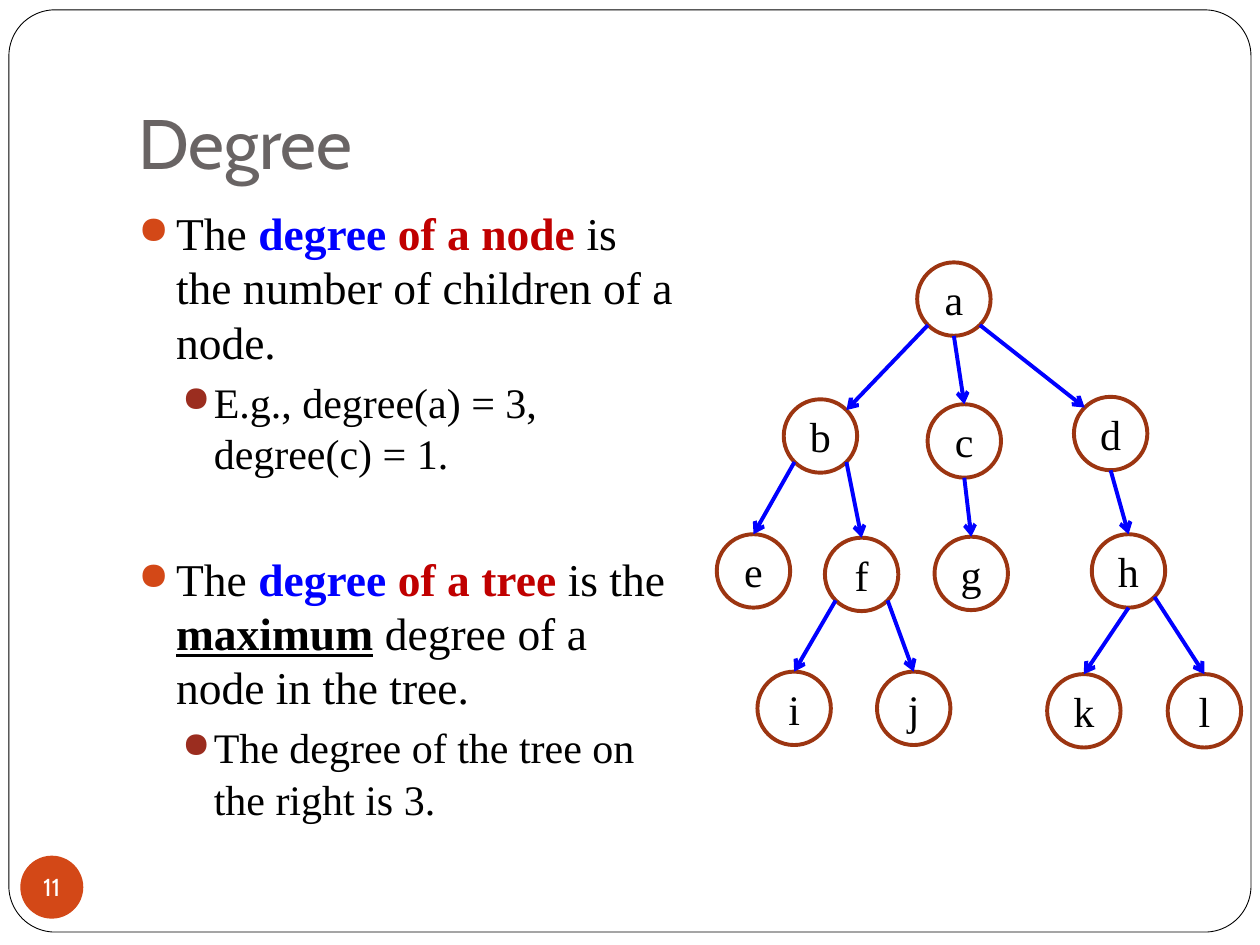
from dataclasses import dataclass
from math import cos, pi, sin

from lxml.etree import SubElement
from pptx import Presentation
from pptx.dml.color import RGBColor
from pptx.enum.shapes import MSO_CONNECTOR as Connector, MSO_SHAPE as Shape
from pptx.enum.text import MSO_ANCHOR as Anchor, PP_ALIGN as Align
from pptx.oxml.ns import qn
from pptx.util import Cm, Pt

BODY_FONT, HEADING_FONT = "Times New Roman", "Cabin"
BLACK, WHITE, BLUE, RED = "000000", "FFFFFF", "0000FF", "C00000"
ORANGE, BROWN, RUST, GREY = "D34817", "9B2D1F", "9C3511", "696464"
NODE_SIZE = 1.48
LINE_BREAK = "\v"

# Connection sites of an ellipse, counted anticlockwise from the top
TOP, TOP_LEFT, BOTTOM_LEFT, BOTTOM, BOTTOM_RIGHT, TOP_RIGHT = 0, 1, 3, 4, 5, 7


@dataclass
class Span:
    text: str
    color: str = BLACK
    bold: bool = False
    underline: bool = False


@dataclass
class Level:
    size: float
    line_height: float
    space_before: float
    margin: float
    hanging: float
    bullet: str


@dataclass
class Point:
    level: Level
    spans: list[Span]
    extra_space: float = 0


@dataclass
class Node:
    label: str
    left: float
    top: float

    def site(self, index: int) -> tuple[Cm, Cm]:
        radius, angle = NODE_SIZE / 2, index * pi / 4
        return (Cm(self.left + radius - radius * sin(angle)),
                Cm(self.top + radius - radius * cos(angle)))


@dataclass
class Edge:
    parent: str
    child: str
    start: int
    end: int = TOP


MAIN = Level(26, 31.1, 5.8, 0.76, 0.76, ORANGE)
SUB = Level(24, 29.5, 3.7, 1.52, 0.64, BROWN)

POINTS = [
    Point(MAIN, [Span("The "), Span("degree ", BLUE, True), Span("of a node", RED, True),
                 Span(" is the number of children of a node.")]),
    Point(SUB, [Span("E.g., degree(a) = 3, "), Span(LINE_BREAK), Span("degree(c) = 1.")]),
    Point(MAIN, [Span("The "), Span("degree ", BLUE, True), Span("of a tree", RED, True),
                 Span(" is the "), Span("maximum", bold=True, underline=True),
                 Span(" degree of a node in the tree.")], extra_space=35.7),
    Point(SUB, [Span("The degree of the tree on the right is 3.")]),
]

NODES = [
    Node("a", 18.49, 5.29),
    Node("b", 15.8, 8.05), Node("c", 18.7, 8.15), Node("d", 21.65, 8),
    Node("e", 14.45, 10.77), Node("f", 16.63, 10.84),
    Node("g", 18.84, 10.82), Node("h", 22.01, 10.77),
    Node("i", 15.27, 13.54), Node("j", 17.68, 13.54),
    Node("k", 21.11, 13.59), Node("l", 23.54, 13.59),
]

EDGES = [
    Edge("a", "b", BOTTOM_LEFT, TOP_RIGHT), Edge("a", "c", BOTTOM),
    Edge("a", "d", BOTTOM_RIGHT, TOP_LEFT),
    Edge("b", "e", BOTTOM_LEFT), Edge("b", "f", BOTTOM_RIGHT),
    Edge("c", "g", BOTTOM), Edge("d", "h", BOTTOM),
    Edge("f", "i", BOTTOM_LEFT), Edge("f", "j", BOTTOM_RIGHT),
    Edge("h", "k", BOTTOM), Edge("h", "l", BOTTOM_RIGHT),
]


def rgb(value: str) -> RGBColor:
    return RGBColor.from_string(value)


def style(font, name: str, size: float, color: str) -> None:
    font.name, font.size = name, Pt(size)
    font.color.rgb = rgb(color)


def draw_shape(slide, kind, left, top, width, height, fill=None, line=None, weight=1):
    shape = slide.shapes.add_shape(kind, Cm(left), Cm(top), Cm(width), Cm(height))
    shape.shadow.inherit = False
    if fill:
        shape.fill.solid()
        shape.fill.fore_color.rgb = rgb(fill)
    else:
        shape.fill.background()
    if line:
        shape.line.color.rgb = rgb(line)
        shape.line.width = Pt(weight)
    else:
        shape.line.fill.background()
    return shape


def draw_label(shape, text: str, font: str, size: float, color: str) -> None:
    frame = shape.text_frame
    frame.text = text
    frame.vertical_anchor = Anchor.MIDDLE
    paragraph = frame.paragraphs[0]
    paragraph.alignment = Align.CENTER
    style(paragraph.runs[0].font, font, size, color)


def draw_point(paragraph, point: Point) -> None:
    level = point.level
    paragraph.line_spacing = Pt(level.line_height)
    paragraph.space_before = Pt(level.space_before + point.extra_space)
    props = paragraph._p.get_or_add_pPr()
    props.set("marL", str(Cm(level.margin)))
    props.set("indent", str(-Cm(level.hanging)))
    SubElement(SubElement(props, qn("a:buClr")), qn("a:srgbClr"), val=level.bullet)
    SubElement(props, qn("a:buSzPct"), val="85000")
    SubElement(props, qn("a:buChar"), char="●")
    for span in point.spans:
        if span.text == LINE_BREAK:
            paragraph.add_line_break()
            continue
        run = paragraph.add_run()
        run.text = span.text
        style(run.font, BODY_FONT, level.size, span.color)
        run.font.bold, run.font.underline = span.bold, span.underline


def draw_edge(slide, edge: Edge, nodes: dict, circles: dict) -> None:
    arrow = slide.shapes.add_connector(
        Connector.STRAIGHT, *nodes[edge.parent].site(edge.start),
        *nodes[edge.child].site(edge.end))
    arrow.line.color.rgb = rgb(BLUE)
    arrow.line.width = Pt(2.25)
    props = arrow.element.spPr
    SubElement(props.find(qn("a:ln")), qn("a:tailEnd"), type="arrow")
    SubElement(props, qn("a:effectLst"))
    # begin_connect knows only rectangle sites, so join the ellipse sites here
    joints = arrow.element.find(".//" + qn("p:cNvCxnSpPr"))
    for tag, label, site in (("a:stCxn", edge.parent, edge.start),
                             ("a:endCxn", edge.child, edge.end)):
        SubElement(joints, qn(tag), id=str(circles[label].shape_id), idx=str(site))


def main() -> None:
    deck = Presentation()
    deck.slide_width, deck.slide_height = Cm(25.4), Cm(19.05)
    slide = deck.slides.add_slide(deck.slide_layouts[6])

    # Frame
    frame = draw_shape(slide, Shape.ROUNDED_RECTANGLE, 0.18, 0.2, 25.04, 18.59,
                       WHITE, BLACK, 0.5)
    frame.adjustments[0] = 0.05

    # Title
    title = slide.shapes.add_textbox(Cm(2.54), Cm(0.76), Cm(21.59), Cm(3.18)).text_frame
    title.word_wrap = True
    title.vertical_anchor = Anchor.BOTTOM
    title.margin_bottom = Cm(0.25)
    title.text = "Degree"
    style(title.paragraphs[0].runs[0].font, HEADING_FONT, 40, GREY)

    # Slide number
    badge = draw_shape(slide, Shape.OVAL, 0.41, 17.25, 1.27, 1.27, ORANGE)
    draw_label(badge, "11", HEADING_FONT, 14, WHITE)
    margins = badge.text_frame
    margins.margin_left = margins.margin_right = 0
    margins.margin_top = margins.margin_bottom = 0
    margins.word_wrap = False

    # Definitions
    body = slide.shapes.add_textbox(Cm(2.54), Cm(4.01), Cm(11.43), Cm(12.7)).text_frame
    body.word_wrap = True
    for number, point in enumerate(POINTS):
        draw_point(body.add_paragraph() if number else body.paragraphs[0], point)

    # Tree
    nodes = {node.label: node for node in NODES}
    circles = {}
    for node in NODES:
        circles[node.label] = draw_shape(slide, Shape.OVAL, node.left, node.top,
                                         NODE_SIZE, NODE_SIZE, line=RUST, weight=2.25)
        draw_label(circles[node.label], node.label, BODY_FONT, 24, BLACK)
    for edge in EDGES:
        draw_edge(slide, edge, nodes, circles)

    deck.save("out.pptx")


if __name__ == "__main__":
    main()
